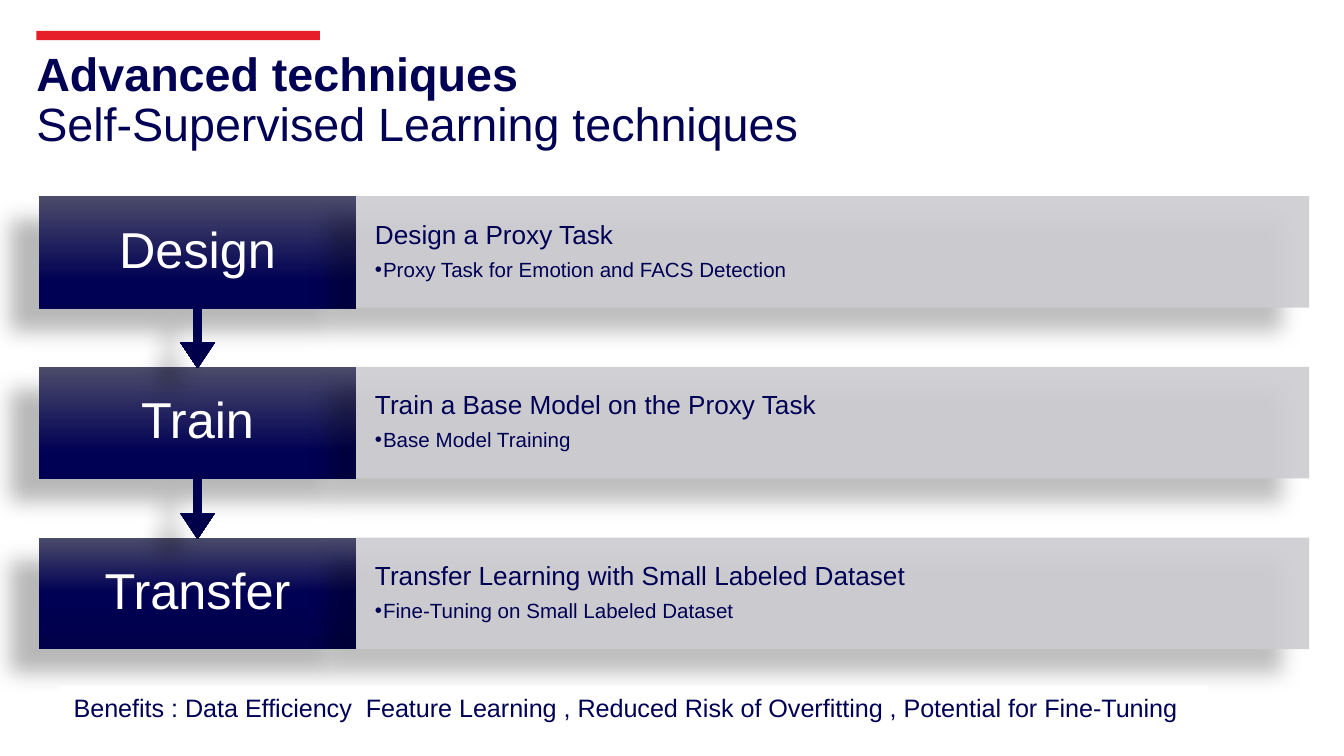
"""Build the self-supervised learning slide: three linked steps and a benefits line."""
import pptx
import pptx.dml.color
import pptx.enum.shapes
import pptx.enum.text
import pptx.oxml
import pptx.oxml.ns
import pptx.util

PX = 9144
NAVY = "000054"
MSO = pptx.enum.shapes.MSO_SHAPE
ALIGN = pptx.enum.text.PP_ALIGN
ANCHOR = pptx.enum.text.MSO_ANCHOR
NS = pptx.oxml.ns.nsdecls("a")
GRADIENT = f"""<a:gradFill {NS} rotWithShape="0"><a:gsLst>
<a:gs pos="0"><a:srgbClr val="4B4B6B"/></a:gs>
<a:gs pos="50000"><a:srgbClr val="{NAVY}"/></a:gs>
<a:gs pos="100000"><a:srgbClr val="00004B"/></a:gs>
</a:gsLst><a:lin ang="5400000" scaled="0"/></a:gradFill>"""
SHADOW = f"""<a:effectLst {NS}>
<a:outerShdw blurRad="149860" dist="250190" dir="8460000" rotWithShape="0">
<a:srgbClr val="000000"><a:alpha val="28000"/></a:srgbClr></a:outerShdw></a:effectLst>"""


def rgb(color):
    return pptx.dml.color.RGBColor.from_string(color)


def add_run(p, text, size, color=NAVY, bold=False):
    r = p.add_run()
    r.text = text
    r.font.name = "Arial"
    r.font.size = pptx.util.Pt(size)
    r.font.bold = bold
    r.font.color.rgb = rgb(color)


prs = pptx.Presentation()
prs.slide_width = 1000 * PX
prs.slide_height = prs.slide_width * 9 // 16
s = prs.slides.add_slide(prs.slide_layouts[5])

bar = s.shapes.add_shape(MSO.RECTANGLE, 27 * PX, 23 * PX, 211 * PX, 7 * PX)
bar.shadow.inherit = False
bar.fill.solid()
bar.fill.fore_color.rgb = rgb("E61E2A")
bar.line.fill.background()

title = s.shapes.title
title.left, title.top, title.width, title.height = 27 * PX, 33 * PX, 948 * PX, 86 * PX
tf = title.text_frame
tf.auto_size = pptx.enum.text.MSO_AUTO_SIZE.NONE
tf.vertical_anchor = ANCHOR.TOP
tf.margin_left = 0
tf.margin_right = 10 * PX
tf.margin_top = tf.margin_bottom = 5 * PX
p = tf.paragraphs[0]
p.alignment = ALIGN.LEFT
p.line_spacing = 0.9
add_run(p, "Advanced techniques ", 25, bold=True)
p.add_line_break()
add_run(p, "Self-Supervised Learning techniques", 25)

LEFT, MID, TOP, PITCH = 29, 265, 146, 127
LABEL_W, DETAIL_W, ROW_H, CALLOUT_H = 236, 709, 83, 128
steps = [
    ("Design", "Design a Proxy Task", "Proxy Task for Emotion and FACS Detection"),
    ("Train", "Train a Base Model on the Proxy Task", "Base Model Training"),
    ("Transfer", "Transfer Learning with Small Labeled Dataset",
     "Fine-Tuning on Small Labeled Dataset"),
]
for i, (label, heading, detail) in reversed(list(enumerate(steps))):
    y = TOP + i * PITCH
    if i == len(steps) - 1:
        sp = s.shapes.add_shape(MSO.RECTANGLE, LEFT * PX, y * PX, LABEL_W * PX, ROW_H * PX)
    else:
        sp = s.shapes.add_shape(MSO.UP_ARROW_CALLOUT, LEFT * PX, y * PX,
                                LABEL_W * PX, CALLOUT_H * PX)
        sp.rotation = 180
        for k, value in enumerate((0.05, 0.1, 0.15, 0.65)):
            sp.adjustments[k] = value
    sp.line.fill.background()
    sp._element.spPr.find(pptx.oxml.ns.qn("a:ln")).addprevious(pptx.oxml.parse_xml(GRADIENT))
    sp._element.spPr.append(pptx.oxml.parse_xml(SHADOW))

    tb = s.shapes.add_textbox(LEFT * PX, y * PX, LABEL_W * PX, ROW_H * PX)
    tf = tb.text_frame
    tf.word_wrap = True
    tf.vertical_anchor = ANCHOR.MIDDLE
    tf.margin_left = tf.margin_right = 17 * PX
    tf.margin_top = tf.margin_bottom = 21 * PX
    p = tf.paragraphs[0]
    p.alignment = ALIGN.CENTER
    p.line_spacing = 0.9
    add_run(p, label, 27, "FFFFFF")

    sp = s.shapes.add_shape(MSO.RECTANGLE, MID * PX, y * PX, DETAIL_W * PX, ROW_H * PX)
    sp.fill.solid()
    sp.fill.fore_color.rgb = rgb("CCCCD1")
    color = sp._element.spPr.find(".//" + pptx.oxml.ns.qn("a:srgbClr"))
    color.append(pptx.oxml.parse_xml(f'<a:alpha {NS} val="90000"/>'))
    sp.line.fill.background()
    sp._element.spPr.append(pptx.oxml.parse_xml(SHADOW))

    tb = s.shapes.add_textbox(MID * PX, y * PX, DETAIL_W * PX, ROW_H * PX)
    tf = tb.text_frame
    tf.word_wrap = True
    tf.margin_left = tf.margin_right = 14 * PX
    tf.margin_top = tf.margin_bottom = 19 * PX
    p = tf.paragraphs[0]
    p.line_spacing = 0.9
    p.space_after = pptx.util.Pt(5)
    add_run(p, heading, 14)
    p = tf.add_paragraph()
    p.level = 1
    pPr = p._p.get_or_add_pPr()
    pPr.set("marL", str(6 * PX))
    pPr.set("indent", str(-6 * PX))
    pPr.append(pptx.oxml.parse_xml(f'<a:buFont {NS} typeface="Arial"/>'))
    pPr.append(pptx.oxml.parse_xml(f'<a:buChar {NS} char="•"/>'))
    p.line_spacing = 0.9
    p.space_after = pptx.util.Pt(2)
    add_run(p, detail, 11)

sp = s.shapes.add_shape(MSO.RECTANGLE, 45 * PX, 510 * PX, 854 * PX, 33 * PX)
sp.shadow.inherit = False
sp.fill.solid()
sp.fill.fore_color.rgb = rgb("FFFFFF")
sp.line.fill.background()
tf = sp.text_frame
tf.word_wrap = True
tf.vertical_anchor = ANCHOR.TOP
p = tf.paragraphs[0]
p.alignment = ALIGN.LEFT
add_run(p, "Benefits : Data Efficiency  Feature Learning , Reduced Risk of Overfitting , "
        "Potential for Fine-Tuning", 13.5)

prs.save("out.pptx")
